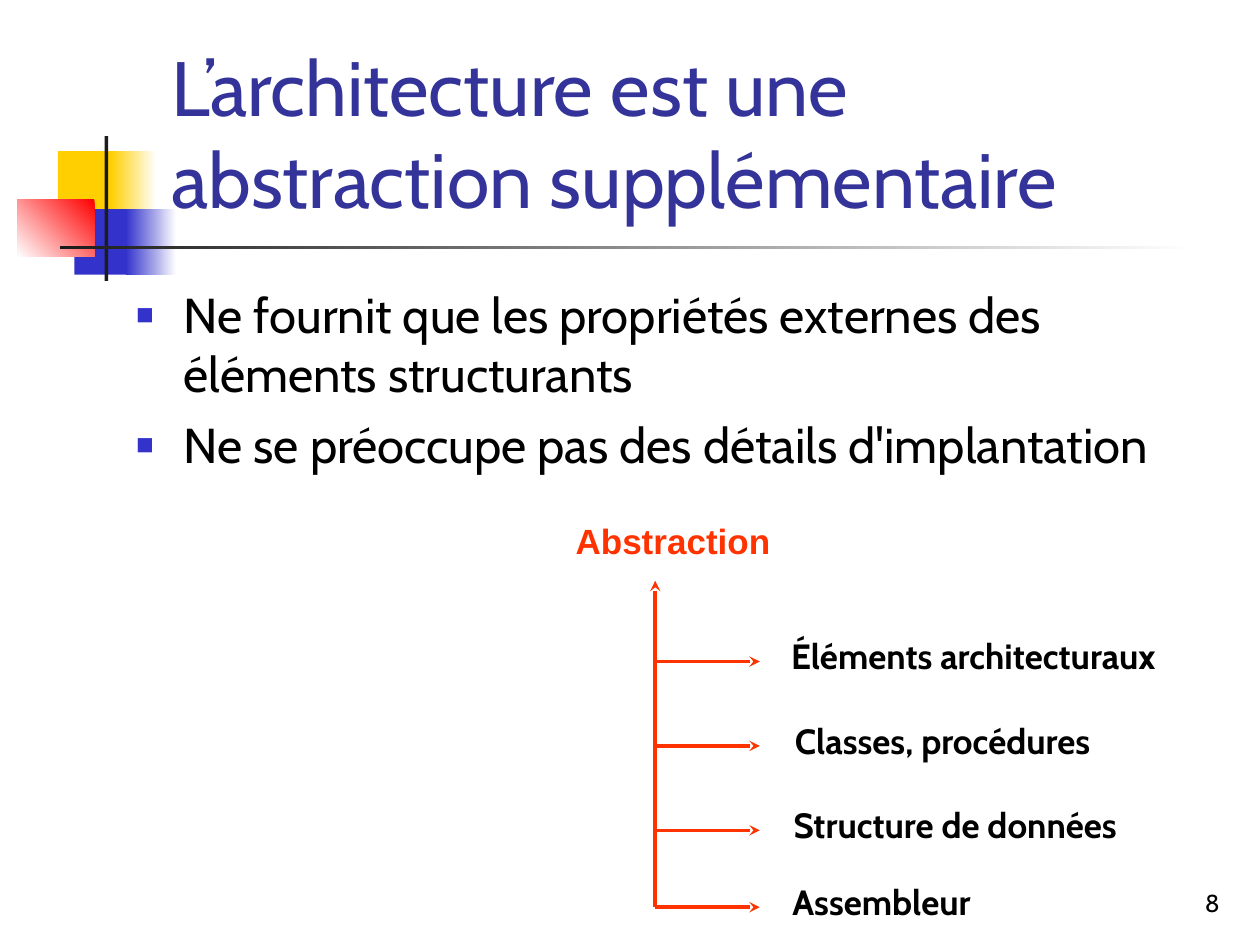
from typing import NamedTuple, Optional

import pptx
import pptx.dml.color
import pptx.enum.shapes
import pptx.enum.text
import pptx.oxml
import pptx.oxml.ns
import pptx.util
from lxml import etree

Inches = pptx.util.Inches
Pt = pptx.util.Pt
RGBColor = pptx.dml.color.RGBColor
Align = pptx.enum.text.PP_ALIGN
Anchor = pptx.enum.text.MSO_ANCHOR

WHITE = RGBColor(0xFF, 0xFF, 0xFF)
BLACK = RGBColor(0x00, 0x00, 0x00)
YELLOW = RGBColor(0xFF, 0xCF, 0x01)
BLUE = RGBColor(0x33, 0x33, 0xCC)
RED = RGBColor(0xFF, 0x00, 0x00)
CHARCOAL = RGBColor(0x1C, 0x1C, 0x1C)
ORANGE = RGBColor(0xFF, 0x33, 0x00)
TITLE_BLUE = RGBColor(0x33, 0x33, 0x99)

AXIS_X, AXIS_TOP, AXIS_BOTTOM = 5.2, 4.61, 7.2
BRANCH_END = 6.03
LABEL_RISE = 0.26
LABEL_HEIGHT = 0.44


class Block(NamedTuple):
    left: float
    top: float
    width: float
    height: float
    color: RGBColor
    fade_to: Optional[RGBColor] = None
    angle: int = 180


class Level(NamedTuple):
    text: str
    y: float
    left: float
    width: float


BLOCKS = [
    Block(0.46, 1.2, 0.48, 0.52, YELLOW),
    Block(0.88, 1.2, 0.36, 0.52, WHITE, YELLOW),
    Block(0.59, 1.66, 0.46, 0.52, BLUE),
    Block(1, 1.66, 0.4, 0.52, WHITE, BLUE),
    Block(0.14, 1.58, 0.61, 0.46, RED, WHITE, 225),
    Block(0.83, 1.08, 0.03, 1.15, CHARCOAL),
    Block(0.48, 1.95, 9, 0.03, WHITE, CHARCOAL),
]
LEVELS = [
    Level("Éléments architecturaux", 5.25, 6.18, 3.63),
    Level("Classes, procédures", 5.92, 6.21, 2.93),
    Level("Structure de données", 6.59, 6.2, 3.19),
    Level("Assembleur", AXIS_BOTTOM, 6.19, 1.84),
]
BULLETS = [
    "Ne fournit que les propriétés externes des éléments structurants",
    "Ne se préoccupe pas des détails d'implantation",
]


def draw_block(slide, block: Block) -> None:
    shape = slide.shapes.add_shape(
        pptx.enum.shapes.MSO_SHAPE.RECTANGLE,
        Inches(block.left), Inches(block.top), Inches(block.width), Inches(block.height))
    shape.shadow.inherit = False
    shape.line.fill.background()
    if block.fade_to is None:
        shape.fill.solid()
        shape.fill.fore_color.rgb = block.color
    else:
        shape.fill.gradient()
        shape.fill.gradient_angle = block.angle
        for stop, color in zip(shape.fill.gradient_stops, (block.color, block.fade_to)):
            stop.color.rgb = color


def draw_arrow(slide, x1: float, y1: float, x2: float, y2: float) -> None:
    connector = slide.shapes.add_connector(
        pptx.enum.shapes.MSO_CONNECTOR.STRAIGHT,
        Inches(x1), Inches(y1), Inches(x2), Inches(y2))
    connector.line.color.rgb = ORANGE
    connector.line.width = Pt(2)
    line = connector.line._get_or_add_ln()
    etree.SubElement(line, pptx.oxml.ns.qn("a:tailEnd"), type="stealth")
    etree.SubElement(connector._element.spPr, pptx.oxml.ns.qn("a:effectLst"))


def place(shape, left: float, top: float, width: float, height: float) -> None:
    shape.left, shape.top = Inches(left), Inches(top)
    shape.width, shape.height = Inches(width), Inches(height)


def format_text(shape, size: int, color: RGBColor, font: str = "Cabin", bold: bool = False,
                align=Align.LEFT, anchor=Anchor.TOP) -> None:
    text_frame = shape.text_frame
    text_frame.word_wrap = True
    text_frame.auto_size = pptx.enum.text.MSO_AUTO_SIZE.NONE
    text_frame.vertical_anchor = anchor
    for paragraph in text_frame.paragraphs:
        paragraph.alignment = align
        for run in paragraph.runs:
            run.font.size = Pt(size)
            run.font.name = font
            run.font.bold = bold
            run.font.color.rgb = color


def add_label(slide, text: str, left: float, top: float, width: float,
              height: float = LABEL_HEIGHT):
    label = slide.shapes.add_textbox(Inches(left), Inches(top), Inches(width), Inches(height))
    label.text_frame.text = text
    return label


def add_square_bullet(paragraph) -> None:
    properties = paragraph._p.get_or_add_pPr()
    properties.set("marL", str(Inches(0.38)))
    properties.set("indent", str(Inches(-0.38)))
    color = etree.SubElement(properties, pptx.oxml.ns.qn("a:buClr"))
    etree.SubElement(color, pptx.oxml.ns.qn("a:srgbClr"), val=str(BLUE))
    etree.SubElement(properties, pptx.oxml.ns.qn("a:buSzPct"), val="60000")
    etree.SubElement(properties, pptx.oxml.ns.qn("a:buFont"), typeface="Arial")
    etree.SubElement(properties, pptx.oxml.ns.qn("a:buChar"), char="■")


def main() -> None:
    presentation = pptx.Presentation()
    presentation.slide_width, presentation.slide_height = Inches(10), Inches(7.5)
    slide = presentation.slides.add_slide(presentation.slide_layouts[1])

    # Corner decoration
    for block in BLOCKS:
        draw_block(slide, block)

    # Abstraction axis and its levels
    draw_arrow(slide, AXIS_X, AXIS_BOTTOM, AXIS_X, AXIS_TOP)
    for level in LEVELS:
        draw_arrow(slide, AXIS_X, level.y, BRANCH_END, level.y)
        label = add_label(slide, level.text, level.left, level.y - LABEL_RISE, level.width)
        format_text(label, 20, BLACK, bold=True)
    heading = add_label(slide, "Abstraction", 4.47, 4.07, 1.8)
    format_text(heading, 20, ORANGE, font="Arial", bold=True)

    # Title
    title = slide.shapes.title
    place(title, 1.26, 0.23, 8.52, 1.6)
    title.text_frame.text = "L’architecture est une abstraction supplémentaire"
    format_text(title, 44, TITLE_BLUE, anchor=Anchor.BOTTOM)

    # Bulleted list
    body = slide.placeholders[1]
    place(body, 0.98, 2.21, 8.81, 4.5)
    body.text_frame.text = "\n".join(BULLETS)
    for index, paragraph in enumerate(body.text_frame.paragraphs):
        add_square_bullet(paragraph)
        paragraph.space_before = Pt(7 if index else 0)
    format_text(body, 28, BLACK)

    # Title and list lie above the decoration
    for placeholder in (title, body):
        slide.shapes._spTree.append(placeholder._element)

    # Slide number
    number = add_label(slide, "8", 7.7, 6.83, 2.08, 0.5)
    format_text(number, 14, BLACK, align=Align.RIGHT, anchor=Anchor.BOTTOM)

    presentation.save("out.pptx")


if __name__ == "__main__":
    main()
